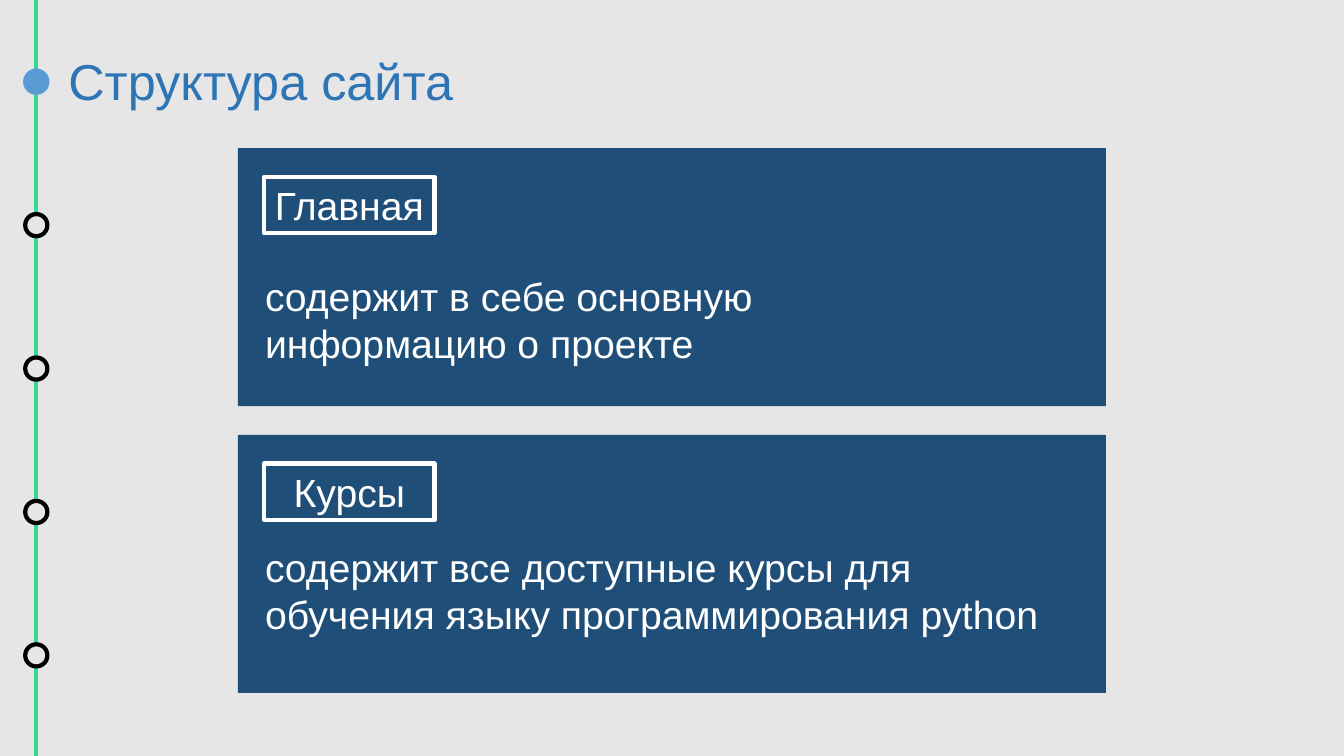
from lxml.etree import SubElement
from pptx import Presentation
from pptx.dml.color import RGBColor
from pptx.enum.shapes import MSO_CONNECTOR as Connector, MSO_SHAPE as Shape
from pptx.enum.text import MSO_ANCHOR as Anchor, MSO_AUTO_SIZE as AutoSize, PP_ALIGN as Align
from pptx.oxml.ns import qn
from pptx.util import Inches, Pt

COLORS = {
    "background": "E7E6E6",
    "rail": "36D792",
    "active": "5B9BD5",
    "title": "2E75B6",
    "card": "1F4E79",
    "light": "FFFFFF",
    "dark": "000000",
}
SECTIONS = [
    ("Главная", "содержит в себе основную информацию о проекте", 15.73, 53.56),
    ("Курсы", "содержит все доступные курсы для обучения языку программирования python", 13.73, 61.44),
]
RAIL_X = 2.7
DOT_COUNT, DOT_TOP, DOT_STEP = 5, 9.35, 18.97
CARD_TOP, CARD_STEP = 19.6, 37.92


class SlideBuilder:
    """Draws styled elements on one slide, with lengths in percent of its size."""

    font = "Arial"
    line_width = Pt(3)

    def __init__(self, presentation):
        self.width = presentation.slide_width
        self.height = presentation.slide_height
        self.slide = presentation.slides.add_slide(presentation.slide_layouts[6])
        self.paint(self.slide.background.fill, "background")

    def paint(self, fill, color):
        fill.solid()
        fill.fore_color.rgb = RGBColor.from_string(COLORS[color])

    def place(self, left, top, width, height):
        return (
            round(self.width * left / 100),
            round(self.height * top / 100),
            round(self.width * width / 100),
            round(self.height * height / 100),
        )

    def set_text(self, text_frame, text, size, color, align=Align.LEFT):
        text_frame.text = text
        paragraph = text_frame.paragraphs[0]
        paragraph.alignment = align
        font = paragraph.runs[0].font
        font.name = self.font
        font.size = Pt(size)
        font.color.rgb = RGBColor.from_string(COLORS[color])

    def shape(self, kind, box, fill=None, line=None):
        shape = self.slide.shapes.add_shape(kind, *self.place(*box))
        shape.shadow.inherit = False
        if fill:
            self.paint(shape.fill, fill)
        else:
            shape.fill.background()
        if line:
            self.paint(shape.line.fill, line)
            shape.line.width = self.line_width
        else:
            shape.line.fill.background()
        return shape

    def rail(self):
        x = round(self.width * RAIL_X / 100)
        connector = self.slide.shapes.add_connector(Connector.STRAIGHT, x, 0, x, self.height)
        self.paint(connector.line.fill, "rail")
        connector.line.width = self.line_width
        SubElement(connector._element.spPr, qn("a:effectLst"))

    def dot(self, top, fill, line):
        width, height = 1.65, 2.93
        self.shape(Shape.OVAL, (RAIL_X - width / 2, top, width, height), fill, line)

    def text(self, box, text, size, color, wrap=True):
        text_frame = self.slide.shapes.add_textbox(*self.place(*box)).text_frame
        text_frame.word_wrap = wrap
        text_frame.auto_size = AutoSize.SHAPE_TO_FIT_TEXT
        self.set_text(text_frame, text, size, color)

    def card(self, top, name, description, text_offset, text_width):
        self.shape(Shape.RECTANGLE, (17.7, top, 64.58, 34.13), "card")
        label = self.shape(Shape.RECTANGLE, (19.65, top + 3.8, 12.68, 7.47), line="light")
        label.text_frame.vertical_anchor = Anchor.MIDDLE
        self.set_text(label.text_frame, name, 28, "light", Align.CENTER)
        self.text((18.98, top + text_offset, text_width, 13.87), description, 28, "light")


def main():
    presentation = Presentation()
    presentation.slide_width = Inches(13.333)
    presentation.slide_height = Inches(7.5)
    builder = SlideBuilder(presentation)
    builder.rail()
    for index in range(DOT_COUNT):
        fill, line = ("background", "dark") if index else ("active", "active")
        builder.dot(DOT_TOP + index * DOT_STEP, fill, line)
    builder.text((4.35, 6, 30.46, 9.47), "Структура сайта", 36, "title", wrap=False)
    for index, section in enumerate(SECTIONS):
        builder.card(CARD_TOP + index * CARD_STEP, *section)
    presentation.save("out.pptx")


if __name__ == "__main__":
    main()
